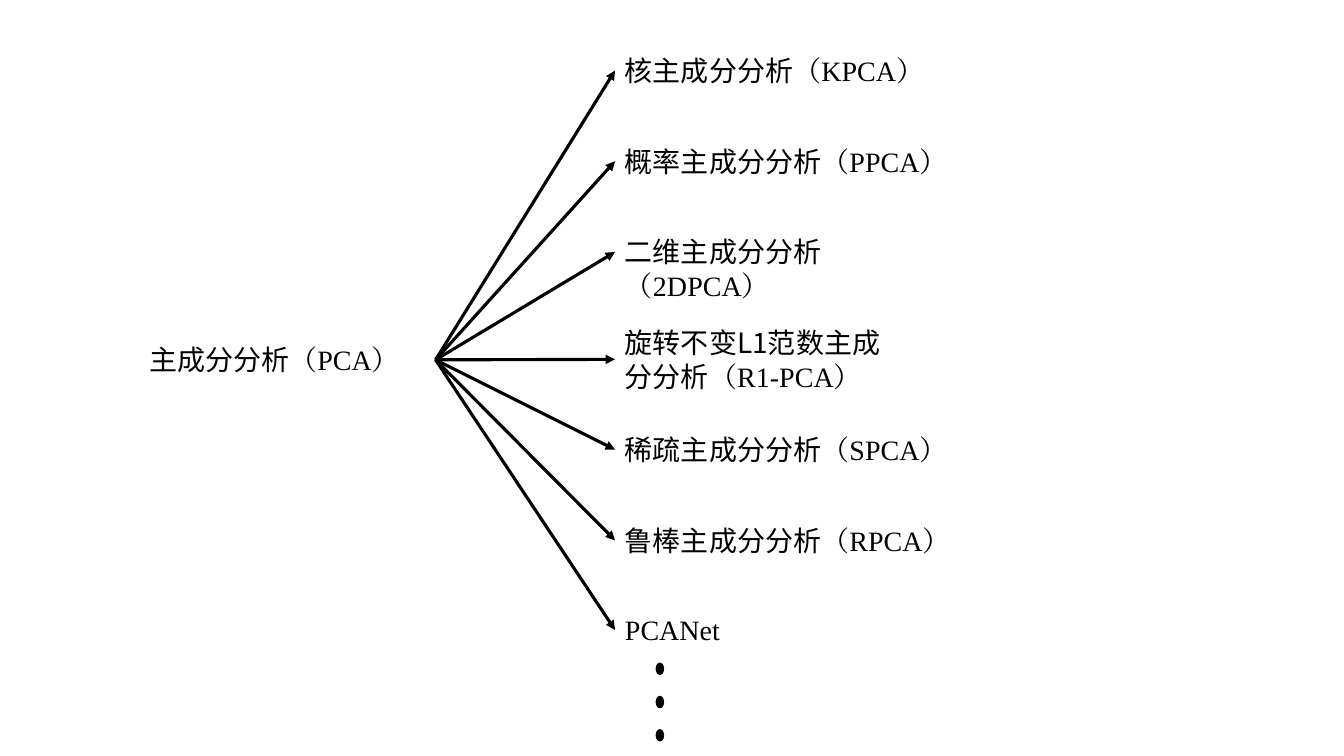
from dataclasses import dataclass

from lxml import etree
from pptx import Presentation
from pptx.dml.color import RGBColor
from pptx.enum.shapes import MSO_CONNECTOR, MSO_SHAPE
from pptx.enum.text import MSO_AUTO_SIZE
from pptx.oxml.ns import qn
from pptx.slide import Slide
from pptx.util import Inches, Pt

BLACK = RGBColor(0x00, 0x00, 0x00)
CHINESE_FONT = "Noto Sans CJK SC"
LATIN_FONT = "Times New Roman"
LINE_HEIGHT = 0.44
VARIANT_LEFT = 6.1


@dataclass(frozen=True)
class Method:
    name: str
    abbreviation: str
    left: float
    top: float
    width: float
    height: float = LINE_HEIGHT

    @property
    def middle(self) -> float:
        return self.top + self.height / 2


PCA = Method("主成分分析", "（PCA）", 1.38, 3.35, 2.94)
VARIANTS = [
    Method("核主成分分析", "（KPCA）", VARIANT_LEFT, 0.48, 3.63),
    Method("概率主成分分析", "（PPCA）", VARIANT_LEFT, 1.38, 3.63),
    Method("二维主成分分析", "（2DPCA）", VARIANT_LEFT, 2.28, 3.47),
    Method("旋转不变L1范数主成分分析", "（R1-PCA）", VARIANT_LEFT, 3.18, 2.94, 0.77),
    Method("稀疏主成分分析", "（SPCA）", VARIANT_LEFT, 4.24, 3.47),
    Method("鲁棒主成分分析", "（RPCA）", VARIANT_LEFT, 5.14, 3.47),
    Method("", "PCANet", VARIANT_LEFT, 6.03, 3.47),
]


def add_method(slide: Slide, method: Method) -> None:
    label = slide.shapes.add_textbox(
        Inches(method.left), Inches(method.top),
        Inches(method.width), Inches(method.height))
    frame = label.text_frame
    frame.word_wrap = True
    frame.auto_size = MSO_AUTO_SIZE.SHAPE_TO_FIT_TEXT
    for text, typeface in ((method.name, CHINESE_FONT),
                           (method.abbreviation, LATIN_FONT)):
        if not text:
            continue
        run = frame.paragraphs[0].add_run()
        run.text = text
        run.font.size = Pt(20)
        run.font.color.rgb = BLACK
        run.font.name = typeface
        east_asian = etree.SubElement(run.font._element, qn("a:ea"))
        east_asian.set("typeface", typeface)


def add_arrow(slide: Slide, source: Method, target: Method) -> None:
    arrow = slide.shapes.add_connector(
        MSO_CONNECTOR.STRAIGHT,
        Inches(source.left + source.width), Inches(source.middle),
        Inches(target.left), Inches(target.middle))
    arrow.line.color.rgb = BLACK
    arrow.line.width = Pt(2.25)
    etree.SubElement(arrow.line._get_or_add_ln(), qn("a:tailEnd")).set("type", "triangle")
    etree.SubElement(arrow._element.spPr, qn("a:effectLst"))


def add_dot(slide: Slide, top: float) -> None:
    dot = slide.shapes.add_shape(
        MSO_SHAPE.FLOWCHART_CONNECTOR,
        Inches(6.51), Inches(top), Inches(0.07), Inches(0.11))
    dot.shadow.inherit = False
    dot.fill.solid()
    dot.fill.fore_color.rgb = BLACK
    dot.line.color.rgb = BLACK
    dot.line.width = Pt(1)


def main() -> None:
    deck = Presentation()
    deck.slide_width = Inches(13.33)
    deck.slide_height = Inches(7.5)
    slide = deck.slides.add_slide(deck.slide_layouts[6])

    # PCA and its variants
    add_method(slide, PCA)
    for variant in VARIANTS:
        add_method(slide, variant)
        add_arrow(slide, PCA, variant)

    # Vertical ellipsis: more variants follow
    for step in range(3):
        add_dot(slide, 6.58 + 0.33 * step)

    deck.save("out.pptx")


if __name__ == "__main__":
    main()
